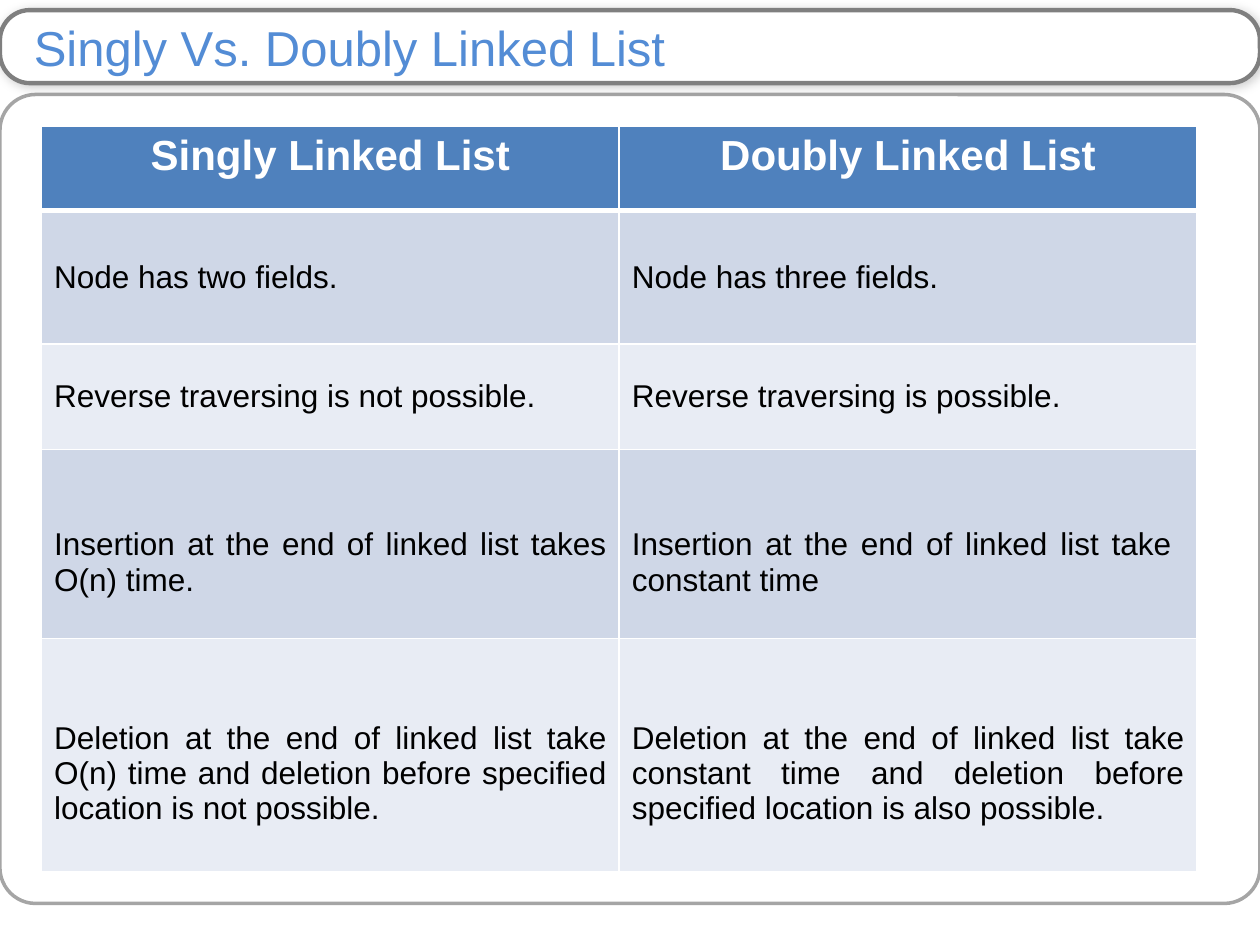
import pptx
import pptx.dml.color
import pptx.enum.shapes
import pptx.enum.text
import pptx.oxml
import pptx.oxml.ns
import pptx.util

Inches = pptx.util.Inches
Pt = pptx.util.Pt
RGBColor = pptx.dml.color.RGBColor
Align = pptx.enum.text.PP_ALIGN
Anchor = pptx.enum.text.MSO_ANCHOR

WHITE = RGBColor(0xFF, 0xFF, 0xFF)
BLACK = RGBColor(0, 0, 0)
TITLE_BLUE = RGBColor(0x53, 0x8C, 0xD5)
HEADER_BLUE = RGBColor(0x4F, 0x81, 0xBD)
BANDS = [RGBColor(0xCF, 0xD7, 0xE7), RGBColor(0xE8, 0xEC, 0xF4)]
PANEL_GRAY = RGBColor(0xA5, 0xA5, 0xA5)
TITLE_GRAY = RGBColor(0x7F, 0x7F, 0x7F)

TITLE = "Singly Vs. Doubly Linked List"
HEADERS = ["Singly Linked List", "Doubly Linked List"]
SHORT_ROWS = [
    ["Node has two fields.", "Node has three fields."],
    ["Reverse traversing is not possible.", "Reverse traversing is possible."],
]
LONG_ROWS = [
    ["Insertion at the end of linked list takes O(n) time.",
     "Insertion at the end of linked list take  constant time"],
    ["Deletion at the end of linked list take O(n) time and deletion before "
     "specified location is not possible.",
     "Deletion at the end of linked list take constant time and deletion before "
     "specified location is also possible."],
]
ROWS = [HEADERS] + SHORT_ROWS + LONG_ROWS
ROW_HEIGHTS = [0.67, 1.06, 0.84, 1.5, 1.85]
SLIDE_WIDTH, SLIDE_HEIGHT = 10, 7.5
TABLE_LEFT, TABLE_TOP, TABLE_WIDTH = 0.33, 1, 9.17
LONG_TEXT_TOP = 0.34

SHADOW = """<a:effectLst %s><a:outerShdw blurRad="%d" dist="%d" dir="2700000"
 rotWithShape="0"><a:srgbClr val="000000"><a:alpha val="20000"/></a:srgbClr>
</a:outerShdw></a:effectLst>"""
BORDER = """<a:%s %s w="%d"><a:solidFill><a:srgbClr val="%s"/></a:solidFill></a:%s>"""
NAMESPACE = pptx.oxml.ns.nsdecls("a")


def write_text(frame, text, size, color, bold=False, align=Align.LEFT):
    para = frame.paragraphs[0]
    para.alignment = align
    span = para.add_run()
    span.text = text
    span.font.name = "Arial"
    span.font.size = Pt(size)
    span.font.bold = bold
    span.font.color.rgb = color


def add_rounded_box(page, top, height, rounding, line_color, line_width):
    box = page.shapes.add_shape(
        pptx.enum.shapes.MSO_SHAPE.ROUNDED_RECTANGLE,
        0, Inches(top), Inches(SLIDE_WIDTH), Inches(height))
    box.adjustments[0] = rounding
    box.shadow.inherit = False
    box.fill.background()
    box.line.color.rgb = line_color
    box.line.width = Pt(line_width)
    return box


def add_title(page):
    box = add_rounded_box(page, 0.08, 0.58, 0.409, TITLE_GRAY, 2.5)
    box.fill.solid()
    box.fill.fore_color.rgb = WHITE
    properties = box.element.spPr
    properties.remove(properties.find(pptx.oxml.ns.qn("a:effectLst")))
    properties.append(pptx.oxml.parse_xml(SHADOW % (NAMESPACE, Pt(6), Pt(1))))
    frame = box.text_frame
    frame.word_wrap = True
    frame.vertical_anchor = Anchor.MIDDLE
    frame.margin_left, frame.margin_right = Inches(0.2), Inches(0.1)
    frame.margin_top = frame.margin_bottom = 0
    write_text(frame, TITLE, size=28, color=TITLE_BLUE)


def style_cell(cell, fill, bottom_width, top_margin):
    properties = cell._tc.get_or_add_tcPr()
    widths = {"lnL": 1, "lnR": 1, "lnT": 1, "lnB": bottom_width}
    for side, width in widths.items():
        properties.append(pptx.oxml.parse_xml(
            BORDER % (side, NAMESPACE, Pt(width), WHITE, side)))
    cell.fill.solid()
    cell.fill.fore_color.rgb = fill
    cell.margin_left = cell.margin_right = Inches(0.1)
    cell.margin_top, cell.margin_bottom = Inches(top_margin), Inches(0.05)


def add_comparison(page):
    table = page.shapes.add_table(
        len(ROWS), len(HEADERS), Inches(TABLE_LEFT), Inches(TABLE_TOP),
        Inches(TABLE_WIDTH), Inches(sum(ROW_HEIGHTS))).table
    for column in table.columns:
        column.width = Inches(TABLE_WIDTH / len(HEADERS))
    for index, (texts, height) in enumerate(zip(ROWS, ROW_HEIGHTS)):
        table.rows[index].height = Inches(height)
        is_header = index == 0
        is_long = texts in LONG_ROWS
        for cell, text in zip(table.rows[index].cells, texts):
            if is_header:
                style_cell(cell, HEADER_BLUE, 3, 0.05)
                write_text(cell.text_frame, text, size=24, color=WHITE,
                           bold=True, align=Align.CENTER)
            else:
                style_cell(cell, BANDS[(index - 1) % 2], 1,
                           LONG_TEXT_TOP if is_long else 0.05)
                cell.vertical_anchor = Anchor.MIDDLE
                write_text(cell.text_frame, text, size=18, color=BLACK,
                           align=Align.JUSTIFY if is_long else Align.LEFT)


def main():
    deck = pptx.Presentation()
    deck.slide_width, deck.slide_height = Inches(SLIDE_WIDTH), Inches(SLIDE_HEIGHT)
    page = deck.slides.add_slide(deck.slide_layouts[6])
    add_rounded_box(page, 0.75, 6.42, 0.044, PANEL_GRAY, 2)
    add_title(page)
    add_comparison(page)
    deck.save("out.pptx")


if __name__ == "__main__":
    main()
